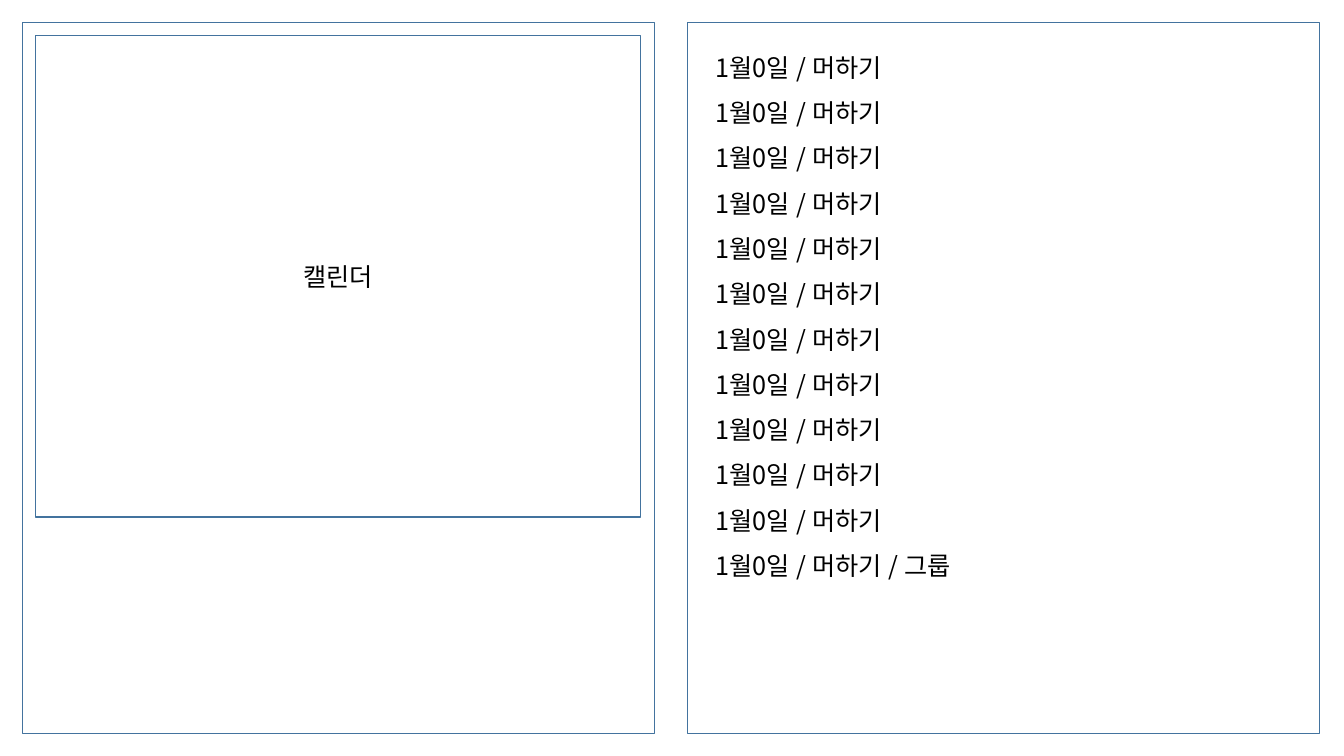
import pptx
import pptx.util
import pptx.dml.color
import pptx.enum.lang
import pptx.enum.shapes
import pptx.enum.text
import pptx.oxml.ns
import lxml.etree

Pt = pptx.util.Pt
WHITE = pptx.dml.color.RGBColor(0xFF, 0xFF, 0xFF)
BLACK = pptx.dml.color.RGBColor(0, 0, 0)
BLUE = pptx.dml.color.RGBColor(0x43, 0x73, 0x9E)
ALIGN = pptx.enum.text.PP_ALIGN
ANCHOR = pptx.enum.text.MSO_ANCHOR


def write_text(frame, text, *, font, size=18, color=BLACK,
               align=ALIGN.LEFT, anchor=ANCHOR.TOP):
    frame.word_wrap = True
    frame.vertical_anchor = anchor
    paragraph = frame.paragraphs[0]
    paragraph.alignment = align
    run = paragraph.add_run()
    run.text = text
    run.font.size = Pt(size)
    run.font.color.rgb = color
    run.font.name = font
    run.font.language_id = pptx.enum.lang.MSO_LANGUAGE_ID.KOREAN
    east_asian = lxml.etree.SubElement(
        run._r.get_or_add_rPr(), pptx.oxml.ns.qn("a:ea"))
    east_asian.set("typeface", font)


class Planner:
    font = "Noto Sans CJK KR"
    line_width = 1

    def __init__(self, slide):
        self.slide = slide

    def panel(self, left, top, width, height):
        panel = self.slide.shapes.add_shape(
            pptx.enum.shapes.MSO_SHAPE.RECTANGLE,
            Pt(left), Pt(top), Pt(width), Pt(height))
        panel.shadow.inherit = False
        panel.fill.solid()
        panel.fill.fore_color.rgb = WHITE
        panel.line.color.rgb = BLUE
        panel.line.width = Pt(self.line_width)
        return panel

    def entry(self, text, left, top, width, height):
        entry = self.slide.shapes.add_textbox(
            Pt(left), Pt(top), Pt(width), Pt(height))
        write_text(entry.text_frame, text, font=self.font)
        entry.text_frame.auto_size = pptx.enum.text.MSO_AUTO_SIZE.SHAPE_TO_FIT_TEXT


presentation = pptx.Presentation()
presentation.slide_width = Pt(960)
presentation.slide_height = Pt(540)
planner = Planner(presentation.slides.add_slide(presentation.slide_layouts[6]))

for page_left in (16, 491):
    planner.panel(page_left, 16, 451.5, 508)

calendar = planner.panel(25.2, 25.2, 432.5, 344)
write_text(calendar.text_frame, "캘린더", font=planner.font,
           align=ALIGN.CENTER, anchor=ANCHOR.MIDDLE)

TASK = "1월0일 / 머하기"
tasks = [(TASK, 163.5)] * 11 + [(TASK + " / 그룹", 222)]
for row, (task, width) in enumerate(tasks):
    planner.entry(task, 504, 33.8 + row * 32.33, width, 29)

presentation.save("out.pptx")
